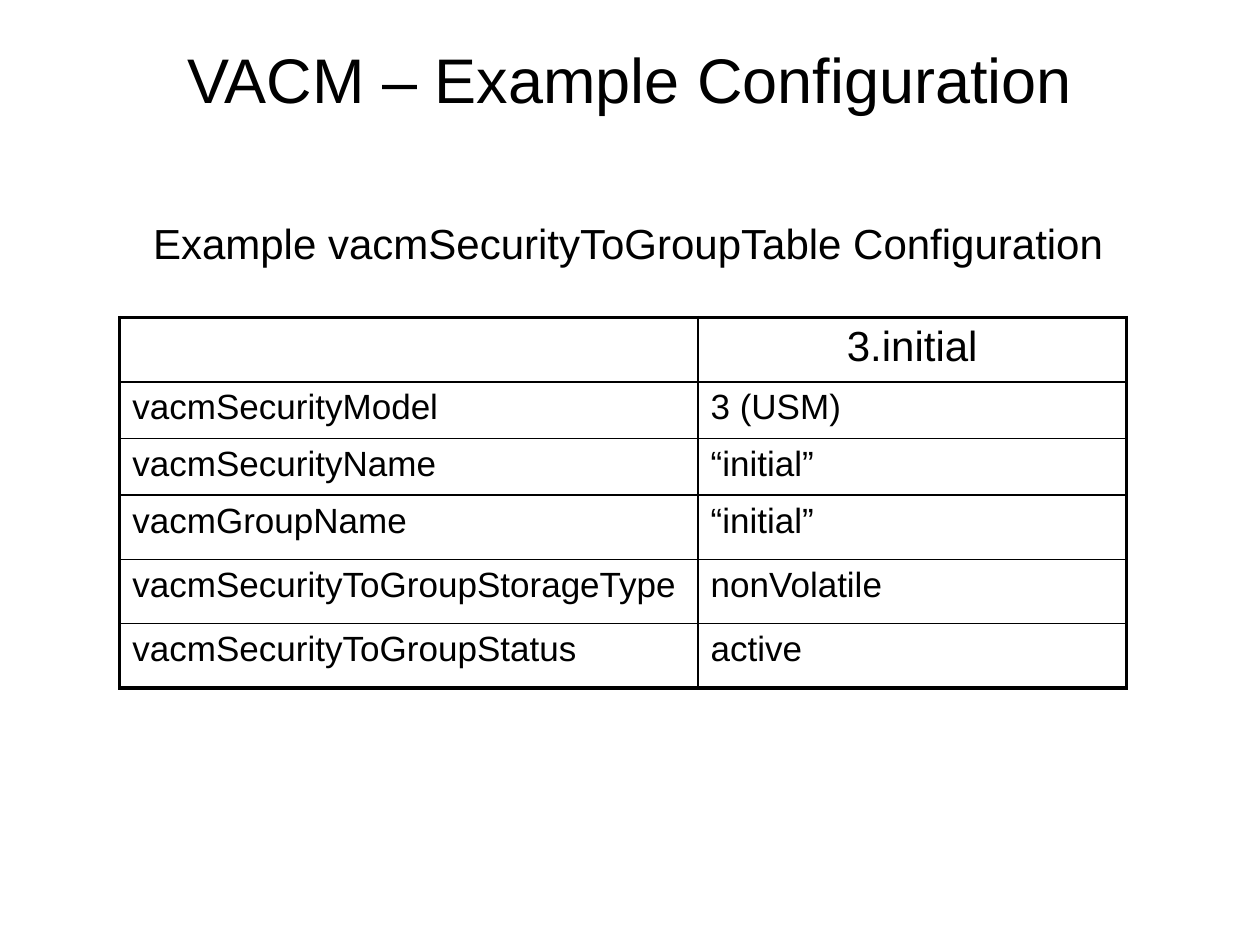
import dataclasses
import pptx
import pptx.dml.color
import pptx.enum.text
import pptx.oxml
import pptx.oxml.ns
import pptx.util

ALIGN = pptx.enum.text.PP_ALIGN
ANCHOR = pptx.enum.text.MSO_ANCHOR


@dataclasses.dataclass(frozen=True)
class Theme:
    font: str = "Arial"
    ink: str = "000000"
    paper: str = "FFFFFF"
    title: int = 36
    head: int = 24
    body: int = 20
    thin: float = 1
    thick: float = 2.25


class Deck:
    """Draws titles and tables on a grid of 100 columns by 75 rows."""

    def __init__(self, theme):
        self.theme = theme
        self.file = pptx.Presentation()
        self.file.slide_width = pptx.util.Inches(10)
        self.file.slide_height = pptx.util.Inches(7.5)
        self.slide = self.file.slides.add_slide(self.file.slide_layouts[6])
        fill = self.slide.background.fill
        fill.solid()
        fill.fore_color.rgb = pptx.dml.color.RGBColor.from_string(theme.paper)

    def grid(self, *units):
        return [round(unit * self.file.slide_width / 100) for unit in units]

    def label(self, frame, text, size, align):
        para = frame.paragraphs[0]
        para.text = text
        para.alignment = align
        para.font.name = self.theme.font
        para.font.size = pptx.util.Pt(size)
        para.font.color.rgb = pptx.dml.color.RGBColor.from_string(self.theme.ink)

    def text(self, box, text, size, anchor=ANCHOR.TOP, wrap=True):
        frame = self.slide.shapes.add_textbox(*self.grid(*box)).text_frame
        frame.word_wrap = wrap
        frame.vertical_anchor = anchor
        self.label(frame, text, size, ALIGN.CENTER)

    def edge(self, cell, side, width):
        line = pptx.oxml.parse_xml(
            f'<a:ln{side} {pptx.oxml.ns.nsdecls("a")} w="{pptx.util.Pt(width)}">'
            f'<a:solidFill><a:srgbClr val="{self.theme.ink}"/></a:solidFill></a:ln{side}>')
        cell._tc.get_or_add_tcPr().append(line)

    def table(self, left, top, cols, rows, data):
        place = self.grid(left, top, sum(cols), sum(rows))
        table = self.slide.shapes.add_table(len(rows), len(cols), *place).table
        table.first_row = table.horz_banding = False
        for col, width in zip(table.columns, self.grid(*cols)):
            col.width = width
        for row, height in zip(table.rows, self.grid(*rows)):
            row.height = height
        for r, line in enumerate(data):
            for c, text in enumerate(line):
                cell = table.cell(r, c)
                outer = {"L": c == 0, "R": c == len(cols) - 1,
                         "T": r == 0, "B": r == len(rows) - 1}
                for side, thick in outer.items():
                    self.edge(cell, side, self.theme.thick if thick else self.theme.thin)
                cell.fill.background()
                size, align = ((self.theme.body, ALIGN.LEFT) if r
                               else (self.theme.head, ALIGN.CENTER))
                self.label(cell.text_frame, text, size, align)


def main():
    theme = Theme()
    deck = Deck(theme)
    deck.text((5, 0, 90, 12.5), "VACM – Example Configuration", theme.title, ANCHOR.MIDDLE)
    deck.text((10.3, 16.8, 79.1, 5), "Example vacmSecurityToGroupTable Configuration",
              theme.head, wrap=False)
    deck.table(9.5, 25.2, (45.9, 34), (5.1, 4.5, 4.5, 5.1, 5.1, 5.1), [
        ("", "3.initial"),
        ("vacmSecurityModel", "3 (USM)"),
        ("vacmSecurityName", "“initial”"),
        ("vacmGroupName", "“initial”"),
        ("vacmSecurityToGroupStorageType", "nonVolatile"),
        ("vacmSecurityToGroupStatus", "active"),
    ])
    deck.file.save("out.pptx")


if __name__ == "__main__":
    main()
